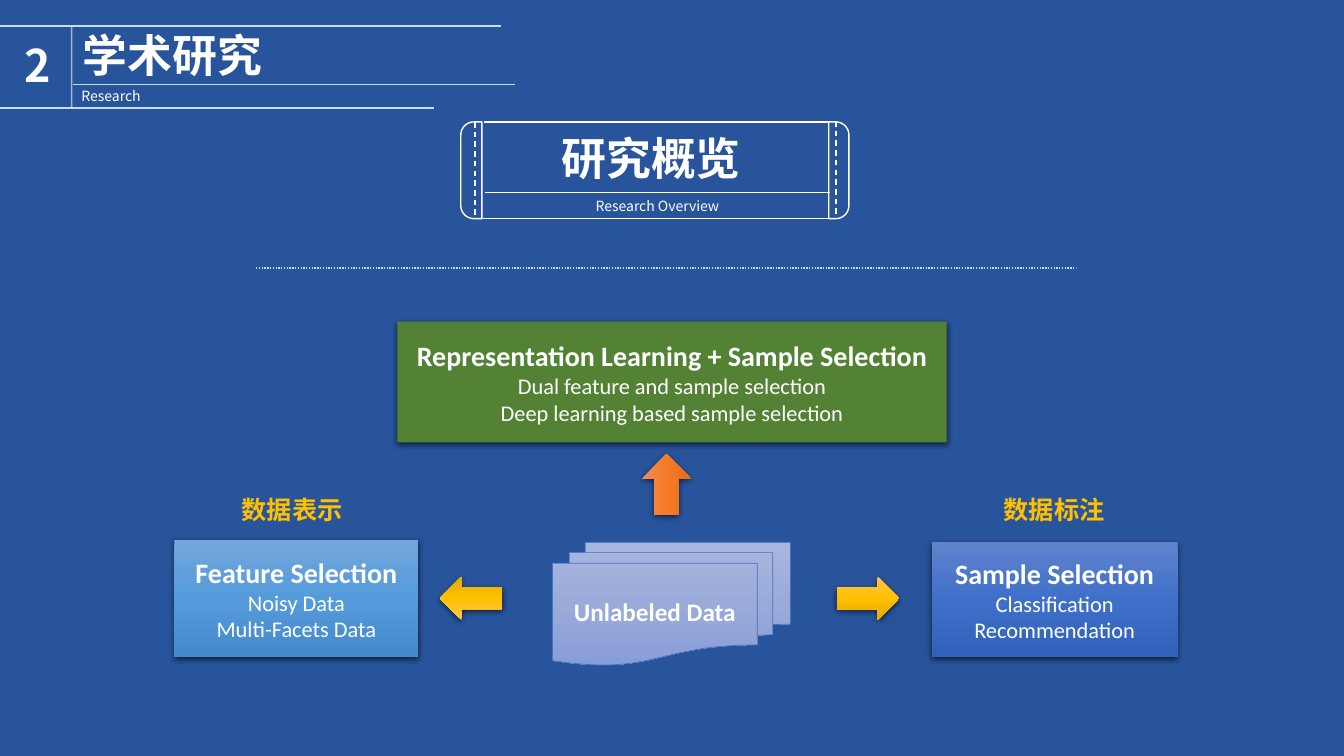
from math import cos, radians, sin

from pptx import Presentation, oxml, util as u
from pptx.dml.color import RGBColor
from pptx.enum import dml, shapes, text
from pptx.oxml import ns

BLUE = RGBColor(0x28, 0x54, 0x9C)
WHITE = RGBColor(0xFF, 0xFF, 0xFF)
PALE = RGBColor(0xC6, 0xDC, 0xF0)
GOLD = RGBColor(0xFF, 0xC0, 0x00)
GREEN = RGBColor(0x54, 0x82, 0x35)
EDGE = RGBColor(0x44, 0x72, 0xC4)
# Shades from top to bottom
LILAC = [RGBColor(0xA8, 0xB7, 0xDF), RGBColor(0x9A, 0xAB, 0xD9), RGBColor(0x88, 0x9E, 0xD7)]
AMBER = [RGBColor(0xFF, 0xC6, 0x4B), GOLD, RGBColor(0xE3, 0xAB, 0x00)]
ROYAL = [RGBColor(0x61, 0x83, 0xCB), RGBColor(0x3E, 0x70, 0xCA), RGBColor(0x30, 0x62, 0xBB)]
SKY = [RGBColor(0x71, 0xA6, 0xDB), RGBColor(0x55, 0x9B, 0xDB), RGBColor(0x44, 0x8A, 0xCA)]
FLAME = [RGBColor(0xF1, 0x8C, 0x57), RGBColor(0xF6, 0x7B, 0x28), RGBColor(0xE5, 0x6C, 0x19)]

LATIN = "Calibri"
HAN = "Noto Sans CJK SC"
LEFT, MID = text.PP_ALIGN.LEFT, text.PP_ALIGN.CENTER
KIND = shapes.MSO_SHAPE
DASH, DOT = dml.MSO_LINE.DASH, dml.MSO_LINE.ROUND_DOT

deck = Presentation()
deck.slide_width, deck.slide_height = u.Inches(13.33), u.Inches(7.5)
slide = deck.slides.add_slide(deck.slide_layouts[5])
slide.background.fill.solid()
slide.background.fill.fore_color.rgb = BLUE
items = slide.shapes


def write(frame, words, size=18, bold=False, color=WHITE, font=HAN,
          align=LEFT, anchor=text.MSO_ANCHOR.TOP, wrap=True, first=True):
    """Add one paragraph to a text frame."""
    frame.word_wrap = wrap
    frame.auto_size = text.MSO_AUTO_SIZE.NONE
    frame.vertical_anchor = anchor
    para = frame.paragraphs[0] if first else frame.add_paragraph()
    para.alignment = align
    run = para.add_run()
    run.text = words
    run.font.size, run.font.bold = u.Pt(size), bold
    run.font.name, run.font.color.rgb = font, color
    run.font._element.append(oxml.parse_xml(
        f'<a:ea {ns.nsdecls("a")} typeface="{font}"/>'))


def block(kind, at, shades, turn=0, shade=True):
    """Add a preset shape with a plain or three-step fill."""
    shape = items.add_shape(kind, *map(u.Inches, at))
    shape.rotation = turn
    shape.line.fill.background()
    shape.shadow.inherit = False
    if len(shades) == 1:
        shape.fill.solid()
        shape.fill.fore_color.rgb = shades[0]
    else:
        stops = "".join(f'<a:gs pos="{50000 * i}"><a:srgbClr val="{c}"/></a:gs>'
                        for i, c in enumerate(shades))
        grad = oxml.parse_xml(
            f'<a:gradFill {ns.nsdecls("a")} rotWithShape="1"><a:gsLst>{stops}</a:gsLst>'
            '<a:lin ang="5400000" scaled="0"/></a:gradFill>')
        shape._element.spPr.find(ns.qn("a:prstGeom")).addnext(grad)
    if shade:
        shape._element.spPr.find(ns.qn("a:effectLst")).append(oxml.parse_xml(
            f'<a:outerShdw {ns.nsdecls("a")} blurRad="57150" dist="19050" dir="5400000" '
            'algn="ctr" rotWithShape="0"><a:srgbClr val="000000">'
            '<a:alpha val="63000"/></a:srgbClr></a:outerShdw>'))
    return shape


# Slide title
title = items.title
title.left, title.top, title.width, title.height = map(u.Inches, (0.72, 0.22, 2, 1.18))
write(title.text_frame, "学术研究", size=32, bold=True, wrap=False)

# Rules of the header, the banner and the divider
for x1, y1, x2, y2, color, dash, alpha in [
    (0, 0.26, 4.97, 0.26, PALE, None, 100),
    (0, 1.07, 4.3, 1.07, PALE, None, 100),
    (0.72, 0.84, 5.11, 0.84, PALE, None, 100),
    (0.71, 0.26, 0.71, 1.07, WHITE, None, 56),
    (4.8, 1.21, 8.22, 1.21, WHITE, None, 100),
    (4.81, 1.91, 8.23, 1.91, WHITE, None, 100),
    (4.79, 2.17, 8.21, 2.17, WHITE, None, 100),
    (4.71, 1.21, 4.71, 2.17, WHITE, DASH, 100),
    (8.29, 1.2, 8.29, 2.16, WHITE, DASH, 100),
    (2.54, 2.66, 10.67, 2.66, PALE, DOT, 100),
]:
    rule = items.add_connector(shapes.MSO_CONNECTOR.STRAIGHT,
                               *map(u.Inches, (x1, y1, x2, y2)))
    rule.line.width = u.Pt(1)
    rule.line.color.rgb = color
    if dash:
        rule.line.dash_style = dash
    if alpha < 100:
        tint = next(rule._element.spPr.iter(ns.qn("a:srgbClr")))
        tint.append(oxml.parse_xml(f'<a:alpha {ns.nsdecls("a")} val="{alpha * 1000}"/>'))
    rule._element.spPr.append(oxml.parse_xml(f'<a:effectLst {ns.nsdecls("a")}/>'))

# Rounded ends of the banner
top, base, bend = 1.21, 2.17, 0.13
for outer, inner, side in [(4.57, 4.78, 1), (8.42, 8.22, -1)]:
    hub = outer + side * bend
    curve = []
    for mid, start in [(top + bend, 90), (base - bend, 180)]:
        for deg in range(start, start + 91, 10):
            curve.append((hub + side * bend * cos(radians(deg)),
                          mid - bend * sin(radians(deg))))
    path = items.build_freeform(u.Inches(inner), u.Inches(top), scale=1.0)
    path.add_line_segments([(u.Inches(x), u.Inches(y)) for x, y in curve + [(inner, base)]],
                           close=True)
    cap = path.convert_to_shape()
    cap.fill.background()
    cap.line.color.rgb, cap.line.width = WHITE, u.Pt(1)
    cap.shadow.inherit = False

# Labels
for words, at, style in [
    ("2", (0.14, 0.33, 0.44, 0.64), dict(size=32, bold=True)),
    ("Research", (0.71, 0.82, 0.8, 0.27), dict(size=10, wrap=False)),
    ("研究概览", (5.47, 1.25, 1.98, 0.64), dict(size=32, bold=True, wrap=False)),
    ("Research Overview", (5.81, 1.91, 1.47, 0.27), dict(size=10, wrap=False)),
    ("数据表示", (2.3, 4.85, 1.64, 0.4), dict(bold=True, color=GOLD)),
    ("数据标注", (9.29, 4.85, 2.33, 0.4), dict(bold=True, color=GOLD, align=MID)),
]:
    label = items.add_textbox(*map(u.Inches, at))
    write(label.text_frame, words, **style)

# Unlabeled data in the centre
data = block(KIND.FLOWCHART_MULTIDOCUMENT, (5.48, 5.38, 2.36, 1.22), LILAC, shade=False)
data.line.color.rgb, data.line.width = EDGE, u.Pt(0.5)
write(data.text_frame, "Unlabeled Data", bold=True, font=LATIN, align=MID,
      anchor=text.MSO_ANCHOR.MIDDLE)

# Arrows outwards
for at, shades, turn in [
    ((8.3, 5.72, 0.62, 0.43), AMBER, 0),
    ((4.36, 5.72, 0.62, 0.43), AMBER, 180),
    ((6.31, 4.56, 0.6, 0.49), FLAME, 270),
]:
    block(KIND.RIGHT_ARROW, at, shades, turn)

# Research topics
for at, shades, lines in [
    ((9.24, 5.38, 2.44, 1.14), ROYAL,
     ["Sample Selection", "Classification", "Recommendation"]),
    ((1.73, 5.36, 2.42, 1.16), SKY,
     ["Feature Selection", "Noisy Data", "Multi-Facets Data"]),
    ((3.94, 3.19, 5.45, 1.2), [GREEN],
     ["Representation Learning + Sample Selection", "Dual feature and sample selection",
      "Deep learning based sample selection"]),
]:
    topic = block(KIND.RECTANGLE, at, shades)
    for i, words in enumerate(lines):
        write(topic.text_frame, words, size=16 if i else 20, bold=i == 0, font=LATIN,
              align=MID, anchor=text.MSO_ANCHOR.MIDDLE, first=i == 0)

deck.save("out.pptx")
